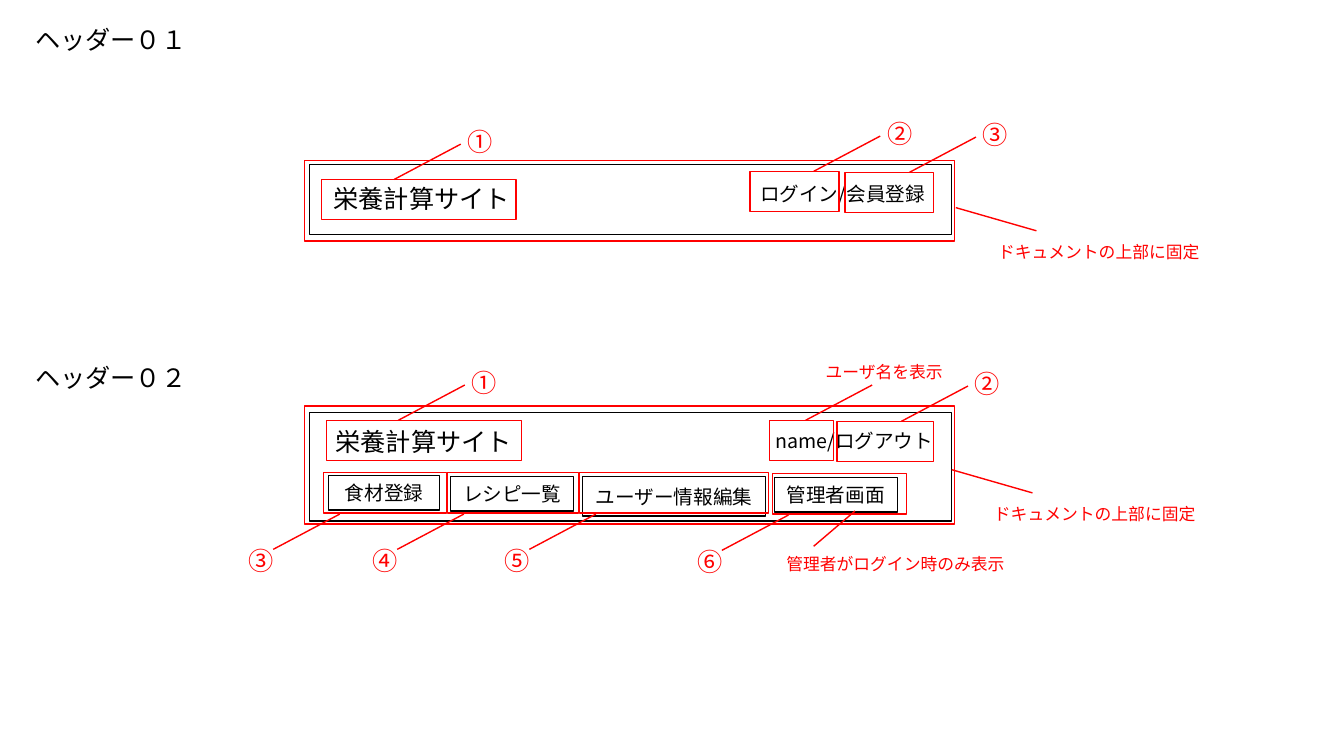
from lxml import etree
from pptx import Presentation
from pptx.dml.color import RGBColor
from pptx.enum.shapes import MSO_CONNECTOR, MSO_SHAPE
from pptx.enum.text import MSO_ANCHOR, MSO_AUTO_SIZE, PP_ALIGN
from pptx.oxml.ns import qn
from pptx.util import Inches, Pt

RECTANGLE = MSO_SHAPE.RECTANGLE
STRAIGHT = MSO_CONNECTOR.STRAIGHT
MIDDLE = MSO_ANCHOR.MIDDLE
CENTER = PP_ALIGN.CENTER
FIT_SHAPE = MSO_AUTO_SIZE.SHAPE_TO_FIT_TEXT

FONT = "Noto Sans CJK JP"
BLACK = "000000"
RED = "FF0000"
FRAME_WIDTH = 6.45
AREA_HEIGHT = 0.4
POINTER_X, POINTER_Y = 0.66, 0.35


def color(hex_value):
    return RGBColor.from_string(hex_value)


def write(text_frame, text, size, hex_value):
    text_frame.text = text
    for run in text_frame.paragraphs[0].runs:
        run.font.size = Pt(size)
        run.font.name = FONT
        run.font.color.rgb = color(hex_value)
        east_asian = etree.SubElement(run.font._element, qn("a:ea"))
        east_asian.set("typeface", FONT)


def add_text(slide, left, top, width, text, size, hex_value=BLACK, wrap=False):
    height = {12: 0.3, 14: 0.34, 18: 0.4}[size]
    box = slide.shapes.add_textbox(
        Inches(left), Inches(top), Inches(width), Inches(height))
    box.text_frame.word_wrap = wrap
    box.text_frame.auto_size = FIT_SHAPE
    write(box.text_frame, text, size, hex_value)


def add_outline(slide, left, top, width, height, hex_value):
    shape = slide.shapes.add_shape(
        RECTANGLE, Inches(left), Inches(top), Inches(width), Inches(height))
    shape.shadow.inherit = False
    shape.fill.background()
    shape.line.color.rgb = color(hex_value)
    shape.line.width = Pt(1)
    return shape


def add_button(slide, left, top, width, height, text):
    shape = add_outline(slide, left, top, width, height, BLACK)
    shape.text_frame.vertical_anchor = MIDDLE
    shape.text_frame.word_wrap = True
    write(shape.text_frame, text, 14, BLACK)
    shape.text_frame.paragraphs[0].alignment = CENTER


def add_pointer(slide, start_x, start_y, end_x, end_y):
    line = slide.shapes.add_connector(
        STRAIGHT, Inches(start_x), Inches(start_y), Inches(end_x), Inches(end_y))
    line.line.color.rgb = color(RED)
    line.line.width = Pt(1)
    etree.SubElement(line._element.spPr, qn("a:effectLst"))


def mark_above(slide, left, top, width, pointer_offset, number=None):
    add_outline(slide, left, top, width, AREA_HEIGHT, RED)
    start = left + pointer_offset
    end_x, end_y = start + POINTER_X, top - POINTER_Y
    add_pointer(slide, start, top, end_x, end_y)
    if number:
        add_text(slide, end_x - 0.03, end_y - 0.23, 0.45, number, 18, RED)


def mark_below(slide, left, top, width, number):
    add_outline(slide, left, top, width, AREA_HEIGHT, RED)
    end_x, end_y = left + 0.16, top + AREA_HEIGHT + 0.01
    add_pointer(slide, end_x - POINTER_X, end_y + POINTER_Y, end_x, end_y)
    add_text(slide, end_x - 1, end_y + 0.26, 0.45, number, 18, RED)


def add_fixed_note(slide, left, top):
    add_pointer(slide, left, top, left + 0.8, top + 0.23)
    add_text(slide, left + 0.32, top + 0.29, 2.22, "ドキュメントの上部に固定", 12, RED)


def add_guest_header(slide, left, top):
    add_outline(slide, left + 0.05, top + 0.04, 6.37, 0.7, BLACK)
    add_text(slide, left + 0.19, top + 0.18, 2, "栄養計算サイト", 18, wrap=True)
    add_text(slide, left + 4.42, top + 0.17, 2, "ログイン/会員登録", 14, wrap=True)
    mark_above(slide, left + 0.17, top + 0.19, 1.93, 0.72, "①")
    mark_above(slide, left + 4.42, top + 0.11, 0.88, 0.63, "②")
    mark_above(slide, left + 5.36, top + 0.12, 0.88, 0.64, "③")
    add_outline(slide, left, top, FRAME_WIDTH, 0.8, RED)
    add_fixed_note(slide, left + 6.46, top + 0.47)


def add_member_header(slide, left, top):
    add_outline(slide, left + 0.05, top + 0.06, 6.37, 1.08, BLACK)
    add_text(slide, left + 0.21, top + 0.15, 2, "栄養計算サイト", 18, wrap=True)
    add_text(slide, left + 4.57, top + 0.18, 1.87, "name/ログアウト", 14, wrap=True)
    mark_above(slide, left + 0.22, top + 0.14, 1.93, 0.71, "①")
    mark_above(slide, left + 4.61, top + 0.14, 0.64, 0.36)
    add_text(slide, left + 5.07, top - 0.49, 1.38, "ユーザ名を表示", 12, RED)
    mark_above(slide, left + 5.28, top + 0.15, 0.96, 0.64, "②")

    buttons = [
        (0.24, 0.69, 1.1, 0.34, "食材登録"),
        (1.45, 0.7, 1.22, 0.34, "レシピ一覧"),
        (2.76, 0.7, 1.81, 0.39, "ユーザー情報編集"),
        (4.66, 0.71, 1.22, 0.34, "管理者画面"),
    ]
    for x, y, width, height, text in buttons:
        add_button(slide, left + x, top + y, width, height, text)

    areas = [(0.19, 0.66, 1.22, "③"), (1.42, 0.66, 1.3, "④"),
             (2.73, 0.66, 1.87, "⑤"), (4.64, 0.67, 1.33, "⑥")]
    for x, y, width, number in areas:
        mark_below(slide, left + x, top + y, width, number)

    add_pointer(slide, left + 5.05, top + 1.39, left + 5.46, top + 1.04)
    add_text(slide, left + 4.68, top + 1.41, 2.39, "管理者がログイン時のみ表示", 12, RED)
    add_outline(slide, left, top, FRAME_WIDTH, 1.17, RED)
    add_fixed_note(slide, left + 6.42, top + 0.63)


presentation = Presentation()
presentation.slide_width = Inches(13.33)
presentation.slide_height = Inches(7.5)
slide = presentation.slides.add_slide(presentation.slide_layouts[6])
add_text(slide, 0.25, 0.19, 1.72, "ヘッダー０１", 18)
add_guest_header(slide, 3.02, 1.59)
add_text(slide, 0.25, 3.55, 1.72, "ヘッダー０２", 18)
add_member_header(slide, 3.02, 4.03)
presentation.save("out.pptx")
